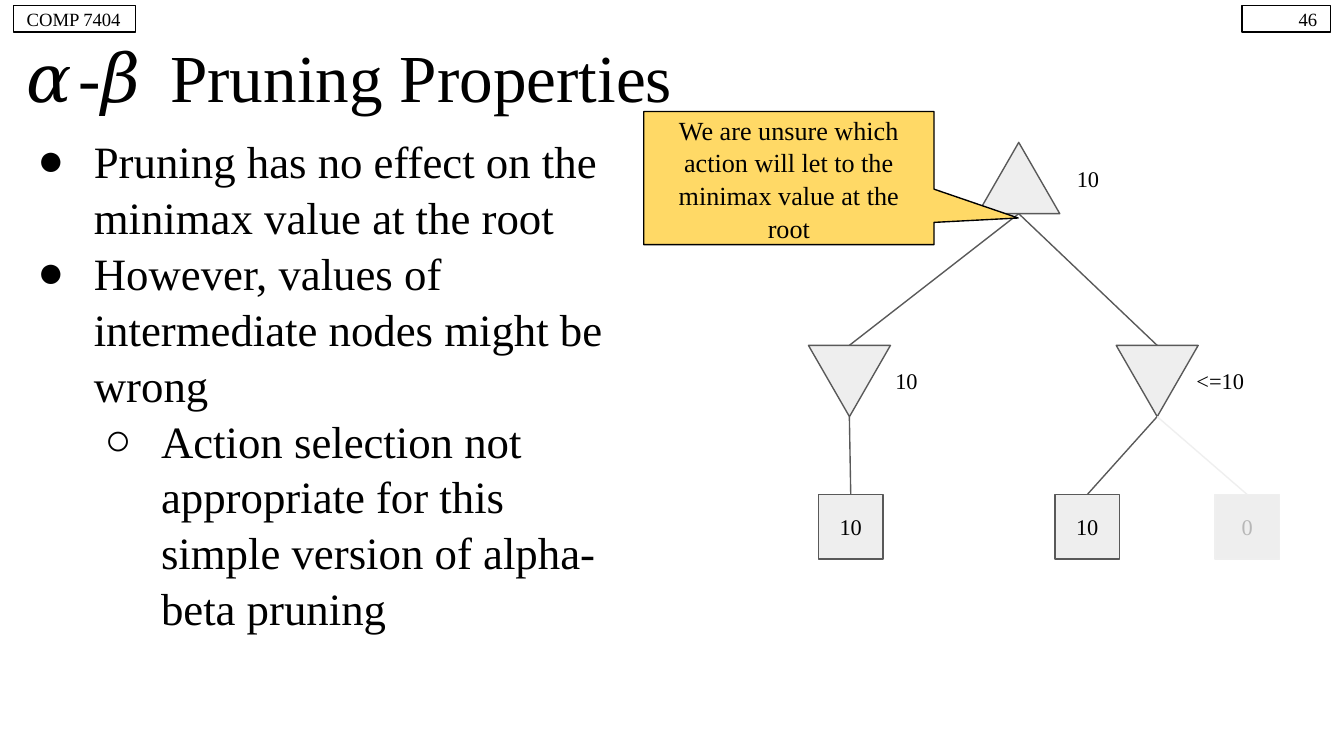
from dataclasses import dataclass

from lxml import etree
from pptx import Presentation
from pptx.dml.color import RGBColor
from pptx.enum.shapes import MSO_CONNECTOR, MSO_SHAPE
from pptx.enum.text import MSO_ANCHOR, PP_ALIGN
from pptx.oxml.ns import qn
from pptx.util import Inches, Pt

RECTANGLE = MSO_SHAPE.RECTANGLE
TRIANGLE = MSO_SHAPE.ISOSCELES_TRIANGLE
CALLOUT = MSO_SHAPE.ROUNDED_RECTANGULAR_CALLOUT
STRAIGHT = MSO_CONNECTOR.STRAIGHT
LEFT, CENTER, RIGHT = PP_ALIGN.LEFT, PP_ALIGN.CENTER, PP_ALIGN.RIGHT
TOP, MIDDLE = MSO_ANCHOR.TOP, MSO_ANCHOR.MIDDLE

FONT = "Times New Roman"
BLACK, GRAY, PALE = "000000", "595959", "EFEFEF"
NODE_FILL, FADED_TEXT, YELLOW = "EEEEEE", "B7B7B7", "FFD966"
CELL = 0.1
COLUMNS, ROWS = 100, 56.25
NODE_WIDTH, NODE_HEIGHT, LEAF_SIZE, LABEL_HEIGHT = 6.1, 5.3, 4.8, 3.5
ROOT_ROW, MIN_ROW, LEAF_ROW = 10.6, 25.7, 36.8
WRAPPED_SPACING = 1.04


@dataclass(frozen=True)
class Area:
    column: float
    row: float
    width: float
    height: float

    def lengths(self) -> list:
        return [cells(n) for n in (self.column, self.row, self.width, self.height)]


@dataclass(frozen=True)
class Node:
    center: float
    row: float
    points_down: bool
    label: str
    label_center: float
    label_width: float


@dataclass(frozen=True)
class Leaf:
    center: float
    parent: Node
    value: str
    line: str = GRAY
    color: str = BLACK


@dataclass(frozen=True)
class Bullet:
    text: str
    mark: str = "●"
    level: int = 0


ROOT = Node(75.8, ROOT_ROW, False, "10", 80.95, 4.1)
LEFT_MIN = Node(63.2, MIN_ROW, True, "10", 67.45, 4.1)
RIGHT_MIN = Node(86.1, MIN_ROW, True, "<=10", 90.8, 6.6)
NODES = [ROOT, LEFT_MIN, RIGHT_MIN]
LEAVES = [
    Leaf(63.3, LEFT_MIN, "10"),
    Leaf(80.9, RIGHT_MIN, "10"),
    Leaf(92.8, RIGHT_MIN, "0", PALE, FADED_TEXT),
]
BULLETS = [
    Bullet("Pruning has no effect on the minimax value at the root"),
    Bullet("However, values of intermediate nodes might be wrong"),
    Bullet(
        "Action selection not appropriate for this simple version of alpha-beta pruning",
        "○",
        1,
    ),
]


def cells(count: float) -> int:
    return Inches(count * CELL)


def rgb(color: str) -> RGBColor:
    return RGBColor.from_string(color)


def prepare_frame(box, anchor=MIDDLE, side: float = 0.1):
    frame = box.text_frame
    frame.word_wrap = True
    frame.vertical_anchor = anchor
    frame.margin_left = frame.margin_right = Inches(side)
    frame.margin_top = frame.margin_bottom = Inches(0.1)
    return frame


def add_span(para, text: str, size: float, color: str = BLACK) -> None:
    span = para.add_run()
    span.text = text
    span.font.name = FONT
    span.font.size = Pt(size)
    span.font.color.rgb = rgb(color)


def write(box, text: str, size: float, align=CENTER, color: str = BLACK, side: float = 0.1):
    para = prepare_frame(box, side=side).paragraphs[0]
    para.alignment = align
    add_span(para, text, size, color)
    return para


def add_box(shapes, area: Area, kind=RECTANGLE, fill: str | None = None, line: str = BLACK):
    box = shapes.add_shape(kind, *area.lengths())
    box.shadow.inherit = False
    if fill:
        box.fill.solid()
        box.fill.fore_color.rgb = rgb(fill)
    else:
        box.fill.background()
    box.line.color.rgb = rgb(line)
    box.line.width = Pt(0.75)
    return box


def add_edge(shapes, parent: Node, center: float, row: float, color: str = GRAY) -> None:
    start = cells(parent.center), cells(parent.row + NODE_HEIGHT)
    edge = shapes.add_connector(STRAIGHT, *start, cells(center), cells(row))
    edge.line.color.rgb = rgb(color)
    edge.line.width = Pt(0.75)
    etree.SubElement(edge.element.spPr, qn("a:effectLst"))


def add_node(shapes, node: Node) -> None:
    area = Area(node.center - NODE_WIDTH / 2, node.row, NODE_WIDTH, NODE_HEIGHT)
    triangle = add_box(shapes, area, TRIANGLE, NODE_FILL, GRAY)
    triangle.rotation = 180 if node.points_down else 0
    label_area = Area(
        node.label_center - node.label_width / 2,
        node.row + (NODE_HEIGHT - LABEL_HEIGHT) / 2,
        node.label_width,
        LABEL_HEIGHT,
    )
    write(shapes.add_textbox(*label_area.lengths()), node.label, 12)


def add_leaf(shapes, leaf: Leaf) -> None:
    add_edge(shapes, leaf.parent, leaf.center, LEAF_ROW, leaf.line)
    area = Area(leaf.center - LEAF_SIZE / 2, LEAF_ROW, LEAF_SIZE, LEAF_SIZE)
    square = add_box(shapes, area, RECTANGLE, NODE_FILL, leaf.line)
    write(square, leaf.value, 12, color=leaf.color, side=0.01)


def add_tree(shapes) -> None:
    tree = shapes.add_group_shape().shapes
    for node in NODES:
        add_node(tree, node)
    for node in (LEFT_MIN, RIGHT_MIN):
        add_edge(tree, ROOT, node.center, node.row)
    for leaf in LEAVES:
        add_leaf(tree, leaf)


def add_bullets(shapes, area: Area) -> None:
    frame = prepare_frame(shapes.add_textbox(*area.lengths()), TOP)
    for index, bullet in enumerate(BULLETS):
        para = frame.add_paragraph() if index else frame.paragraphs[0]
        para.level = bullet.level
        para.line_spacing = WRAPPED_SPACING
        properties = para._p.get_or_add_pPr()
        properties.set("marL", str(Inches(0.5 * (bullet.level + 1))))
        properties.set("indent", str(Inches(-0.42)))
        mark_color = etree.SubElement(properties, qn("a:buClr"))
        etree.SubElement(mark_color, qn("a:srgbClr"), val=BLACK)
        etree.SubElement(properties, qn("a:buFont"), typeface=FONT)
        etree.SubElement(properties, qn("a:buChar"), char=bullet.mark)
        add_span(para, bullet.text, 24)


def add_callout(shapes, area: Area) -> None:
    callout = add_box(shapes, area, CALLOUT, YELLOW)
    for index, value in enumerate((0.79, 0.3, 0)):
        callout.adjustments[index] = value
    text = "We are unsure which action will let to the minimax value at the root"
    write(callout, text, 14).line_spacing = WRAPPED_SPACING


def main() -> None:
    deck = Presentation()
    deck.slide_width, deck.slide_height = cells(COLUMNS), cells(ROWS)
    page = deck.slides.add_slide(deck.slide_layouts[6])
    shapes = page.shapes
    title = shapes.add_textbox(*Area(1, 2.8, 98, 5.7).lengths())
    write(title, "𝛼-𝛽 Pruning Properties", 36, LEFT)
    add_bullets(shapes, Area(1, 8.8, 45.3, 46.1))
    write(add_box(shapes, Area(92.4, 0.4, 6.6, 2)), "46", 10, RIGHT)
    write(add_box(shapes, Area(1, 0.4, 9.1, 2)), "COMP 7404", 10, LEFT)
    add_tree(shapes)
    add_callout(shapes, Area(47.9, 8.3, 21.6, 9.9))
    deck.save("out.pptx")


if __name__ == "__main__":
    main()
